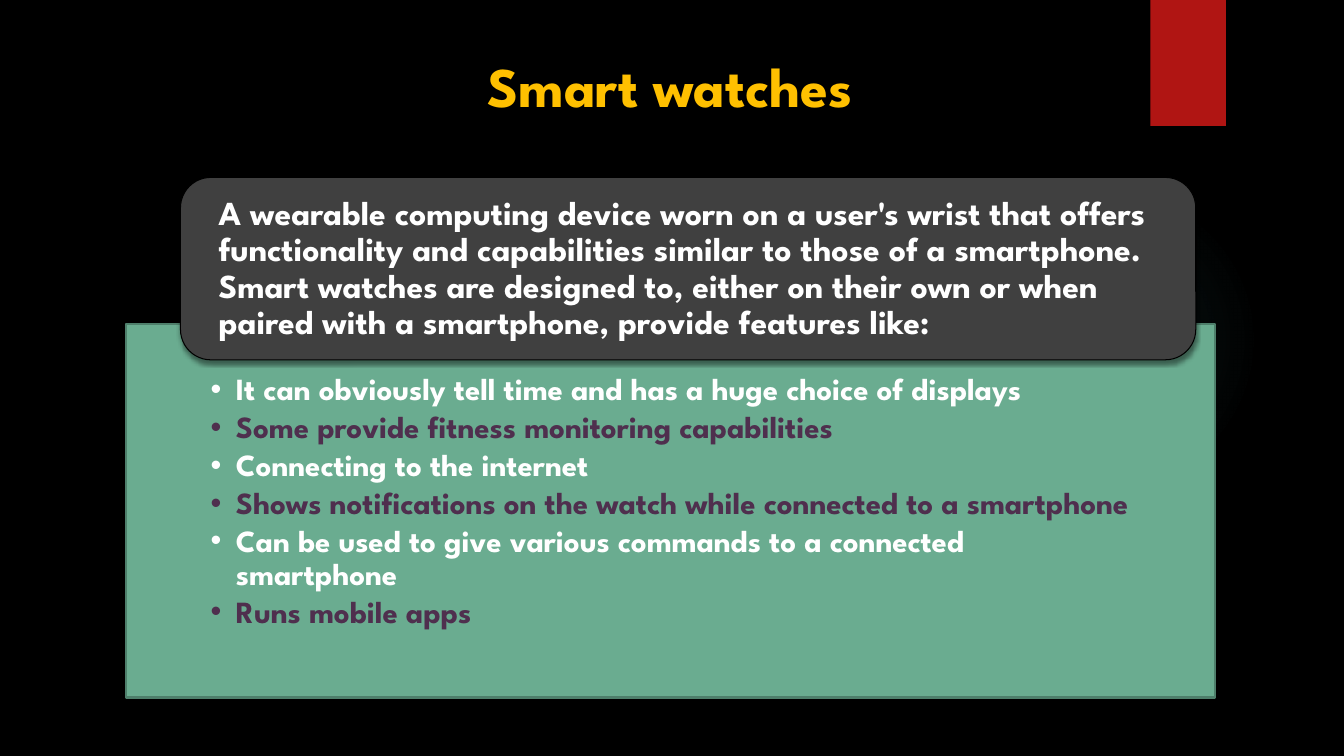
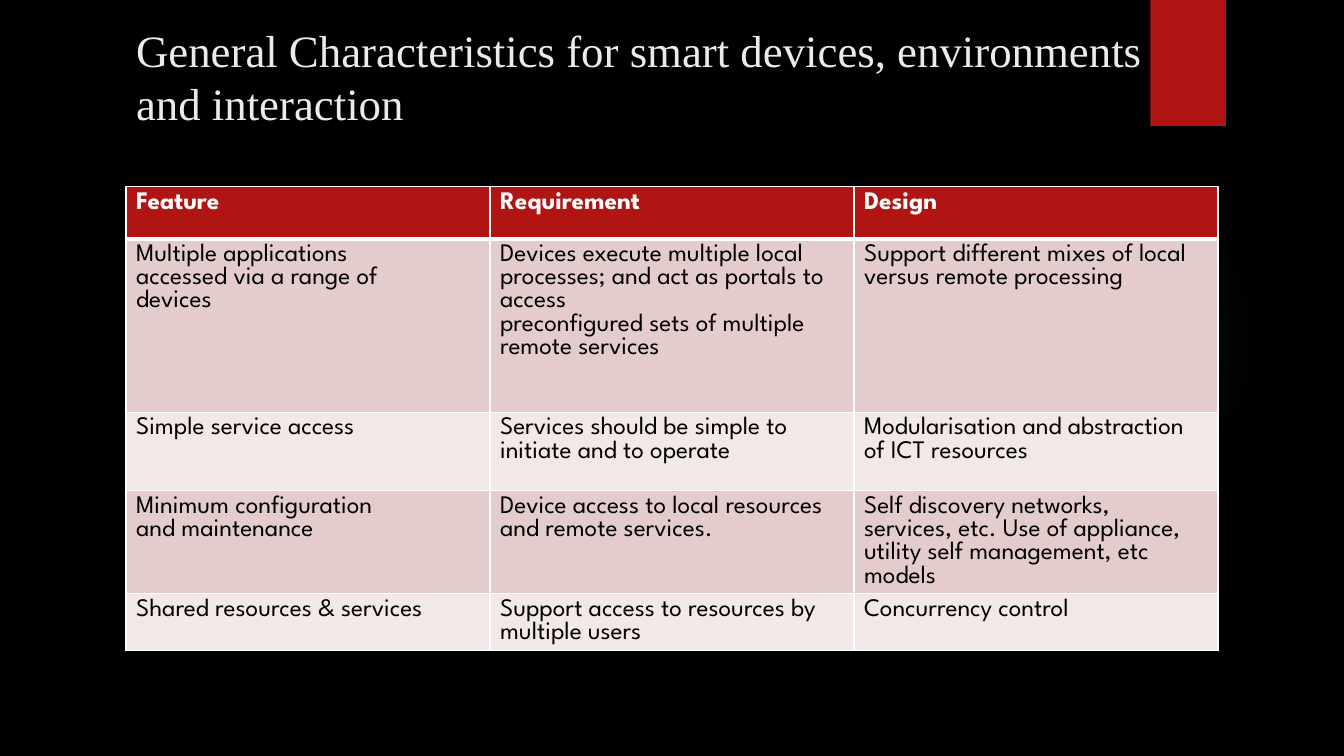
from lxml import etree
from pptx import Presentation
from pptx.dml.color import RGBColor
from pptx.enum.shapes import MSO_SHAPE
from pptx.enum.text import MSO_ANCHOR, MSO_AUTO_SIZE, PP_ALIGN
from pptx.oxml import parse_xml
from pptx.oxml.ns import nsdecls, qn
from pptx.util import Inches, Pt

BLACK = RGBColor(0x00, 0x00, 0x00)
WHITE = RGBColor(0xFF, 0xFF, 0xFF)
PALE = RGBColor(0xEB, 0xEB, 0xEB)
RED = RGBColor(0xB0, 0x15, 0x13)
TEAL = RGBColor(0x50, 0xB9, 0xC1)
GOLD = RGBColor(0xFF, 0xC0, 0x00)
GREEN = RGBColor(0x6A, 0xAC, 0x90)
DARK_GREEN = RGBColor(0x4E, 0x7F, 0x6B)
PLUM = RGBColor(0x4F, 0x2F, 0x4E)
CHARCOAL = RGBColor(0x40, 0x40, 0x40)
ROSE = RGBColor(0xE4, 0xCC, 0xCC)
LIGHT_ROSE = RGBColor(0xF2, 0xE8, 0xE7)

SPARTAN = "League Spartan"
TIMES = "Times New Roman"
GLOW_STOPS = [(0, 7), (36, 6), (69, 0)]

DEFINITION = (
    "A wearable computing device worn on a user's wrist that offers functionality "
    "and capabilities similar to those of a smartphone. Smart watches are designed to, "
    "either on their own or when paired with a smartphone, provide features like:"
)
FEATURES = [
    "It can obviously tell time and has a huge choice of displays",
    "Some provide fitness monitoring capabilities",
    "Connecting to the internet",
    "Shows notifications on the watch while connected to a smartphone",
    "Can be used to give various commands to a connected smartphone",
    "Runs mobile apps",
]
CHARACTERISTICS = [
    ["Feature", "Requirement", "Design"],
    ["Multiple applications\naccessed via a range of\ndevices",
     "Devices execute multiple local processes; and act as portals to access\n"
     "preconfigured sets of multiple remote services",
     "Support different mixes of local versus remote processing"],
    ["Simple service access",
     "Services should be simple to\ninitiate and to operate",
     "Modularisation and abstraction of ICT resources"],
    ["Minimum configuration\nand maintenance",
     "Device access to local resources and remote services.",
     "Self discovery networks,\n"
     "services, etc. Use of appliance, utility self management, etc models"],
    ["Shared resources & services",
     "Support access to resources by multiple users",
     "Concurrency control"],
]
ROW_HEIGHTS = [0.52, 1.72, 0.78, 0.52, 0.52]
COLUMN_WIDTH = 3.61


def place(shape, left, top, width, height):
    """Move and size a shape, in inches."""
    shape.left, shape.top = Inches(left), Inches(top)
    shape.width, shape.height = Inches(width), Inches(height)


def add_run(paragraph, text, size, color, font=SPARTAN, bold=False):
    """Append one formatted run."""
    run = paragraph.add_run()
    run.text = text
    run.font.name = font
    run.font.size = Pt(size)
    run.font.bold = bold
    run.font.color.rgb = color


def set_frame(frame, anchor, left, top, right, bottom):
    """Set wrapping, anchor and insets of a text frame."""
    frame.word_wrap = True
    frame.auto_size = MSO_AUTO_SIZE.NONE
    frame.vertical_anchor = anchor
    frame.margin_left, frame.margin_top = Inches(left), Inches(top)
    frame.margin_right, frame.margin_bottom = Inches(right), Inches(bottom)


def add_box(slide, kind, box, fill=None, line=None):
    """Add a preset shape with an optional fill and outline."""
    shape = slide.shapes.add_shape(kind, *map(Inches, box))
    shape.shadow.inherit = False
    if fill is not None:
        shape.fill.solid()
        shape.fill.fore_color.rgb = fill
    if line is None:
        shape.line.fill.background()
    else:
        shape.line.color.rgb = line
        shape.line.width = Pt(0.75)
    return shape


def add_shadow(shape):
    """Give a shape a soft shadow below it."""
    effects = shape.element.spPr.find(qn("a:effectLst"))
    effects.append(parse_xml(
        f'<a:outerShdw {nsdecls("a")} blurRad="{Pt(3)}" dist="{Pt(2)}" dir="5400000" '
        f'rotWithShape="0"><a:srgbClr val="{BLACK}"><a:alpha val="45000"/></a:srgbClr>'
        '</a:outerShdw>'))


def add_glow_fill(shape):
    """Fill a shape with a fading radial gradient."""
    stops = "".join(
        f'<a:gs pos="{position * 1000}"><a:srgbClr val="{TEAL}">'
        f'<a:alpha val="{alpha * 1000}"/></a:srgbClr></a:gs>'
        for position, alpha in GLOW_STOPS)
    gradient = parse_xml(
        f'<a:gradFill {nsdecls("a")}><a:gsLst>{stops}</a:gsLst><a:path path="circle">'
        '<a:fillToRect l="50000" t="50000" r="50000" b="50000"/></a:path></a:gradFill>')
    shape.element.spPr.find(qn("a:prstGeom")).addnext(gradient)


def decorate_master(prs, slide):
    """Set the black background, glow and red ribbon for all slides."""
    master = prs.slide_master
    master.background.fill.solid()
    master.background.fill.fore_color.rgb = BLACK
    glow = add_box(slide, MSO_SHAPE.OVAL, (9.41, 1.83, 3.08, 3.08))
    add_glow_fill(glow)
    ribbon = add_box(slide, MSO_SHAPE.RECTANGLE, (11.41, 0, 0.75, 1.25), RED)
    add_shadow(ribbon)
    next_id = max(shape.shape_id for shape in master.shapes) + 1
    for number, shape in enumerate((glow, ribbon), next_id):
        shape.element.nvSpPr.cNvPr.set("id", str(number))
        master.shapes.element.append(shape.element)


def set_title(slide, text, box, size, spacing, color, font, bold, align):
    """Fill and place the title placeholder."""
    title = slide.shapes.title
    place(title, *box)
    set_frame(title.text_frame, MSO_ANCHOR.TOP, 0.1, 0.05, 0.1, 0.05)
    heading = title.text_frame.paragraphs[0]
    heading.alignment = align
    heading.line_spacing = Pt(spacing)
    add_run(heading, text, size, color, font, bold)


def add_bullet(paragraph, color):
    """Give a paragraph a hanging round bullet."""
    properties = paragraph._p.get_or_add_pPr()
    properties.set("marL", str(Inches(0.25)))
    properties.set("indent", str(-Inches(0.25)))
    bullet_color = etree.SubElement(properties, qn("a:buClr"))
    etree.SubElement(bullet_color, qn("a:srgbClr"), val=str(color))
    etree.SubElement(properties, qn("a:buFont"), typeface="Arial")
    etree.SubElement(properties, qn("a:buChar"), char="•")


def fill_features(panel):
    """Turn the body placeholder into the green feature list."""
    place(panel, 1.25, 3.21, 10.8, 3.71)
    panel.fill.solid()
    panel.fill.fore_color.rgb = GREEN
    panel.line.color.rgb = DARK_GREEN
    panel.line.width = Pt(1.5)
    frame = panel.text_frame
    set_frame(frame, MSO_ANCHOR.TOP, 0.84, 0.5, 0.84, 0.17)
    for index, feature in enumerate(FEATURES):
        item = frame.paragraphs[0] if index == 0 else frame.add_paragraph()
        color = PLUM if index % 2 else WHITE
        add_bullet(item, color)
        item.line_spacing = Pt(23.6)
        item.space_before = Pt(0)
        item.space_after = Pt(3.5)
        add_run(item, feature, 22, color, bold=True)


def add_definition(slide):
    """Add the rounded box that defines the device."""
    box = add_box(slide, MSO_SHAPE.ROUNDED_RECTANGLE, (1.79, 1.76, 10.07, 1.81),
                  CHARCOAL, BLACK)
    add_shadow(box)
    set_frame(box.text_frame, MSO_ANCHOR.MIDDLE, 0.29, 0, 0.29, 0)
    definition = box.text_frame.paragraphs[0]
    definition.alignment = PP_ALIGN.LEFT
    definition.line_spacing = Pt(26)
    add_run(definition, DEFINITION, 24, WHITE, bold=True)


def set_borders(cell, top, bottom):
    """Draw white lines round a cell, widths in points."""
    properties = cell._tc.get_or_add_tcPr()
    for side, width in (("L", 1), ("R", 1), ("T", top), ("B", bottom)):
        properties.append(parse_xml(
            f'<a:ln{side} {nsdecls("a")} w="{Pt(width)}"><a:solidFill>'
            f'<a:srgbClr val="{WHITE}"/></a:solidFill></a:ln{side}>'))


def fill_cell(cell, text, row):
    """Write and style one table cell."""
    header = row == 0
    set_borders(cell, 3 if row == 1 else 1, 3 if header else 1)
    cell.fill.solid()
    cell.fill.fore_color.rgb = RED if header else ROSE if row % 2 else LIGHT_ROSE
    frame = cell.text_frame
    for index, line in enumerate(text.split("\n")):
        paragraph = frame.paragraphs[0] if index == 0 else frame.add_paragraph()
        add_run(paragraph, line, 18, WHITE if header else BLACK, bold=header)


def add_characteristics(slide):
    """Add the table of features, requirements and designs."""
    columns = len(CHARACTERISTICS[0])
    table = slide.shapes.add_table(
        len(CHARACTERISTICS), columns, Inches(1.25), Inches(1.85),
        Inches(COLUMN_WIDTH * columns), Inches(sum(ROW_HEIGHTS))).table
    for column in table.columns:
        column.width = Inches(COLUMN_WIDTH)
    for row, (texts, height) in enumerate(zip(CHARACTERISTICS, ROW_HEIGHTS)):
        table.rows[row].height = Inches(height)
        for column, text in enumerate(texts):
            fill_cell(table.cell(row, column), text, row)


def main():
    """Build both slides and save them."""
    prs = Presentation()
    prs.slide_width, prs.slide_height = Inches(13.33), Inches(7.5)

    watches = prs.slides.add_slide(prs.slide_layouts[1])
    decorate_master(prs, watches)
    set_title(watches, "Smart watches", (2.49, 0.45, 8.31, 1.29),
              40, 49, GOLD, SPARTAN, True, PP_ALIGN.CENTER)
    fill_features(watches.placeholders[1])
    add_definition(watches)

    general = prs.slides.add_slide(prs.slide_layouts[5])
    set_title(general,
              "General Characteristics for smart devices, environments and interaction",
              (1.25, 0.17, 10.83, 1.68), 32, 38.5, PALE, TIMES, False, PP_ALIGN.LEFT)
    add_characteristics(general)

    prs.save("out.pptx")


if __name__ == "__main__":
    main()
